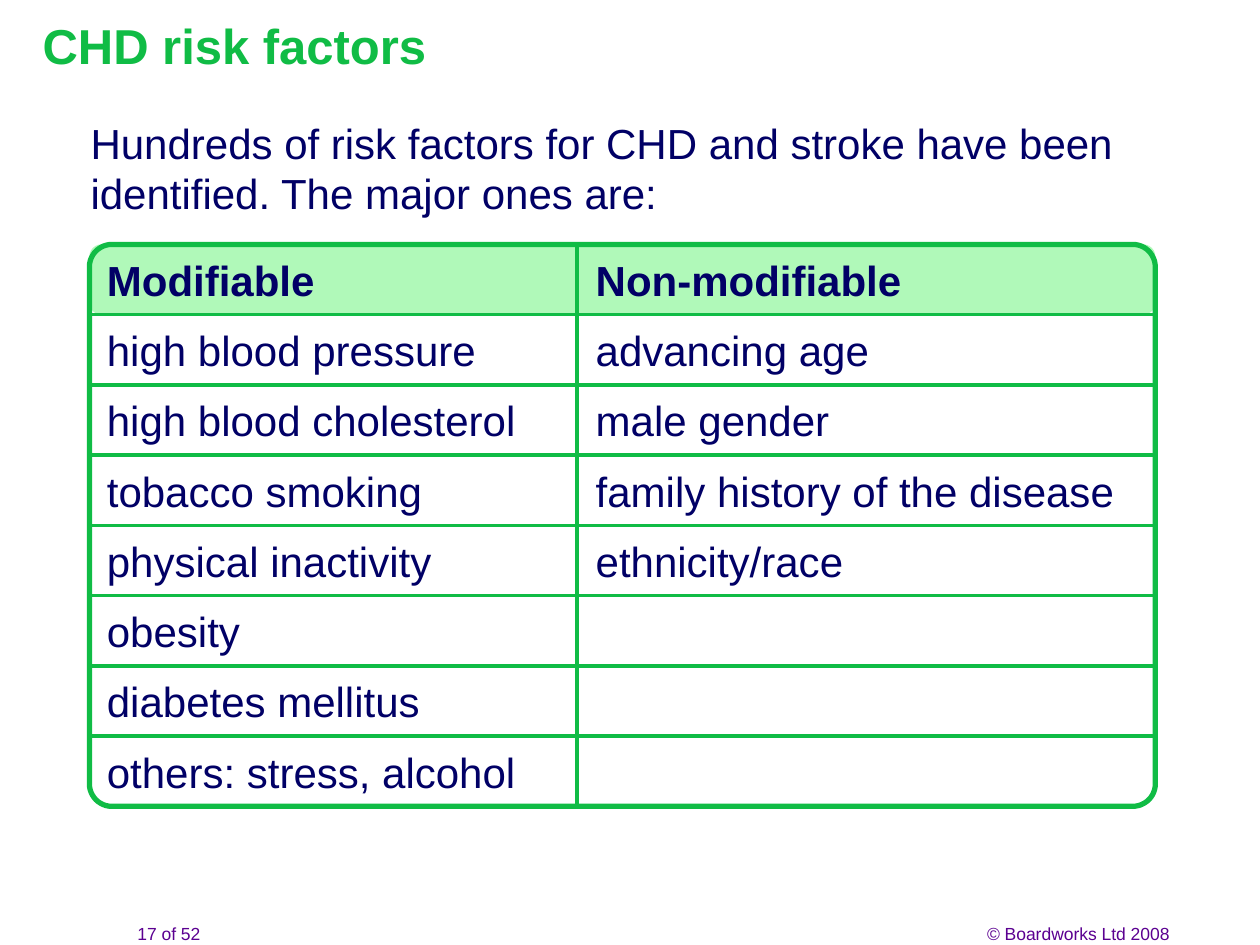
from lxml.etree import SubElement
from pptx import Presentation
from pptx.dml.color import RGBColor
from pptx.enum.shapes import MSO_CONNECTOR, MSO_SHAPE
from pptx.enum.text import MSO_ANCHOR, PP_ALIGN
from pptx.oxml.ns import qn
from pptx.util import Inches, Pt

TITLE = "CHD risk factors"
INTRO = ("Hundreds of risk factors for CHD and stroke have been "
         "identified. The major ones are:")
HEADS = ["Modifiable", "Non-modifiable"]
ROWS = [
    ["high blood pressure", "advancing age"],
    ["high blood cholesterol", "male gender"],
    ["tobacco smoking", "family history of the disease"],
    ["physical inactivity", "ethnicity/race"],
    ["obesity"],
    ["diabetes mellitus"],
    ["others: stress, alcohol"],
]
PAGE = "17 of 52"
CREDIT = "© Boardworks Ltd 2008"

GREEN, PALE, NAVY, PURPLE = "10BC45", "B0F9B9", "010066", "5B0091"
LEFT, TOP, WIDTH, HEIGHT = 0.71, 1.94, 8.46, 4.46
COLS = [(0.75, 3.68), (4.63, 4.44)]
SPLIT = 4.58
STEP = HEIGHT / (len(ROWS) + 1)

prs = Presentation()
prs.slide_width, prs.slide_height = Inches(10), Inches(7.5)
slide = prs.slides.add_slide(prs.slide_layouts[6])
shapes = slide.shapes


def rgb(code):
    return RGBColor.from_string(code)


def write(text, x, y, w, h, size=24, color=NAVY, bold=False,
          align=PP_ALIGN.LEFT, anchor=MSO_ANCHOR.MIDDLE):
    frame = shapes.add_textbox(*map(Inches, (x, y, w, h))).text_frame
    frame.word_wrap = True
    frame.vertical_anchor = anchor
    para = frame.paragraphs[0]
    para.alignment = align
    run = para.add_run()
    run.text = text
    font = run.font
    font.name, font.size, font.bold = "Arial", Pt(size), bold
    font.color.rgb = rgb(color)


def panel(h, radius, fill=None, line=None):
    shape = shapes.add_shape(MSO_SHAPE.ROUNDED_RECTANGLE,
                             *map(Inches, (LEFT, TOP, WIDTH, h)))
    shape.adjustments[0] = radius
    shape.shadow.inherit = False
    if fill:
        shape.fill.solid()
        shape.fill.fore_color.rgb = rgb(fill)
    else:
        shape.fill.background()
    if line:
        shape.line.color.rgb = rgb(line)
        shape.line.width = Pt(3)
    else:
        shape.line.fill.background()


def rule(x1, y1, x2, y2):
    line = shapes.add_connector(MSO_CONNECTOR.STRAIGHT,
                                *map(Inches, (x1, y1, x2, y2)))
    line.line.color.rgb = rgb(GREEN)
    line.line.width = Pt(2)
    SubElement(line._element.spPr, qn("a:effectLst"))


write(PAGE, 0.98, 7.28, 0.72, 0.27, size=10, color=PURPLE,
      align=PP_ALIGN.CENTER, anchor=MSO_ANCHOR.TOP)
write(CREDIT, 7.05, 7.28, 2.33, 0.27, size=10, color=PURPLE,
      align=PP_ALIGN.RIGHT, anchor=MSO_ANCHOR.TOP)
write(TITLE, 0.24, 0.06, 7.92, 0.6, size=28, color=GREEN, bold=True)
write(INTRO, 0.62, 0.88, 9.38, 0.9)

panel(STEP, 0.17, fill=PALE)
for i, row in enumerate([HEADS] + ROWS):
    y = TOP + i * STEP
    for text, (x, w) in zip(row, COLS):
        write(text, x, y, w, STEP, bold=i == 0)
    if i:
        rule(LEFT, y, LEFT + WIDTH, y)
panel(HEIGHT, 0.04, line=GREEN)
rule(SPLIT, TOP, SPLIT, TOP + HEIGHT)

prs.save("out.pptx")
